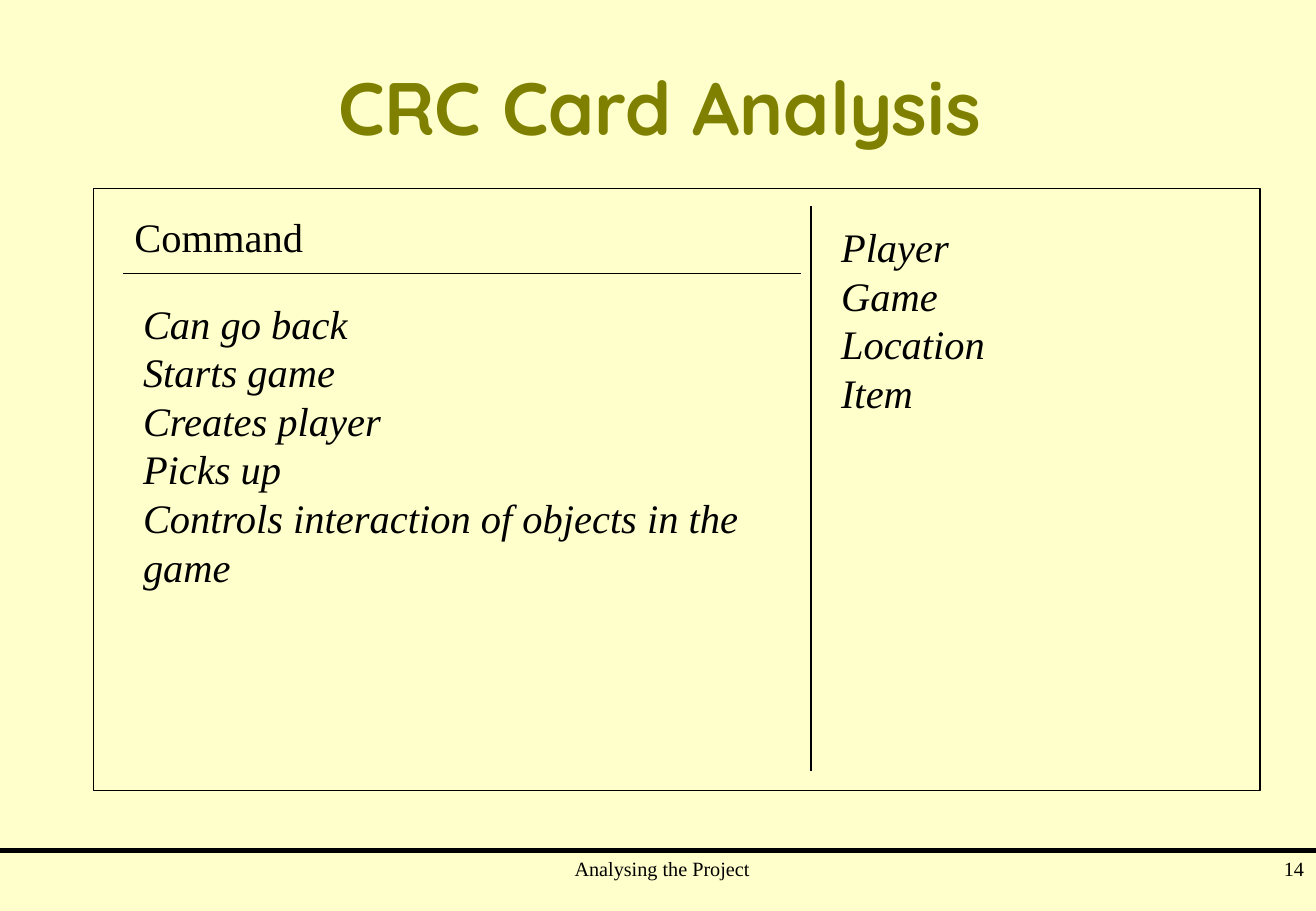
from dataclasses import dataclass

from pptx import Presentation
from pptx.dml.color import RGBColor as Rgb
from pptx.enum.shapes import MSO_CONNECTOR as Connector, MSO_SHAPE as Shape
from pptx.enum.text import MSO_ANCHOR as Anchor, PP_ALIGN as Align
from pptx.oxml.ns import qn
from pptx.util import Emu, Pt

EMU_PER_PX = 9144
FOOTER_INDENT = 24


@dataclass(frozen=True)
class Theme:
    paper: str = "FFFFCC"
    ink: str = "000000"
    olive: str = "808000"
    heading_font: str = "Quicksand"
    body_font: str = "Times New Roman"
    title_size: int = 44
    body_size: int = 24
    footer_size: int = 12
    thin: float = 0.75
    thick: float = 3


def px(*lengths):
    return [Emu(n * EMU_PER_PX) for n in lengths]


def write(tf, text, *, font, size, color, bold=False, italic=False,
          align=Align.LEFT, indent=0):
    for i, line in enumerate(text.split("\n")):
        p = tf.paragraphs[0] if i == 0 else tf.add_paragraph()
        p.alignment = align
        if indent:
            pPr = p._p.get_or_add_pPr()
            pPr.set("marL", str(indent * EMU_PER_PX))
            pPr.set("indent", "0")
        r = p.add_run()
        r.text = line
        r.font.name = font
        r.font.size = Pt(size)
        r.font.bold = bold
        r.font.italic = italic
        r.font.color.rgb = Rgb.from_string(color)


class Deck:
    def __init__(self, theme, width, height):
        self.theme = theme
        self.prs = Presentation()
        self.prs.slide_width, self.prs.slide_height = px(width, height)
        self.s = self.prs.slides.add_slide(self.prs.slide_layouts[5])
        fill = self.s.background.fill
        fill.solid()
        fill.fore_color.rgb = Rgb.from_string(theme.paper)

    def title(self, text, *box):
        sp = self.s.shapes.title
        sp.left, sp.top, sp.width, sp.height = px(*box)
        sp.text_frame.vertical_anchor = Anchor.MIDDLE
        write(sp.text_frame, text, font=self.theme.heading_font,
              size=self.theme.title_size, color=self.theme.olive,
              bold=True, align=Align.CENTER)

    def card(self, *box):
        sp = self.s.shapes.add_shape(Shape.RECTANGLE, *px(*box))
        sp.shadow.inherit = False
        sp.fill.solid()
        sp.fill.fore_color.rgb = Rgb.from_string(self.theme.paper)
        sp.line.color.rgb = Rgb.from_string(self.theme.ink)
        sp.line.width = Pt(self.theme.thin)

    def rule(self, *ends, weight):
        line = self.s.shapes.add_connector(Connector.STRAIGHT, *px(*ends))
        line.line.color.rgb = Rgb.from_string(self.theme.ink)
        line.line.width = Pt(weight)
        spPr = line._element.spPr
        spPr.append(spPr.makeelement(qn("a:effectLst"), {}))

    def text(self, text, *box, size, wrap=True, **style):
        tf = self.s.shapes.add_textbox(*px(*box)).text_frame
        tf.word_wrap = wrap
        write(tf, text, font=self.theme.body_font, size=size,
              color=self.theme.ink, **style)


def main():
    theme = Theme()
    deck = Deck(theme, 1084, 750)
    deck.rule(0, 700, 1084, 700, weight=theme.thick)
    deck.title("CRC Card Analysis", 83, 25, 921, 125)

    deck.card(77, 155, 961, 496)
    deck.rule(668, 170, 668, 635, weight=theme.thin)
    deck.rule(101, 225, 660, 225, weight=theme.thin)

    responsibilities = ("Can go back\nStarts game\nCreates player\nPicks up\n"
                        "Controls interaction of objects in the\ngame")
    collaborators = "Player\nGame\nLocation\nItem"
    deck.text("Command", 101, 170, 200, 50, size=theme.body_size)
    deck.text(responsibilities, 108, 241, 550, 250,
              size=theme.body_size, italic=True)
    deck.text(collaborators, 683, 178, 200, 170,
              size=theme.body_size, italic=True)

    deck.text("Analysing the Project", 325, 700, 417, 50,
              size=theme.footer_size, align=Align.CENTER, indent=FOOTER_INDENT)
    deck.text("14", 858, 700, 226, 50,
              size=theme.footer_size, align=Align.RIGHT, indent=FOOTER_INDENT)
    deck.prs.save("out.pptx")


if __name__ == "__main__":
    main()
